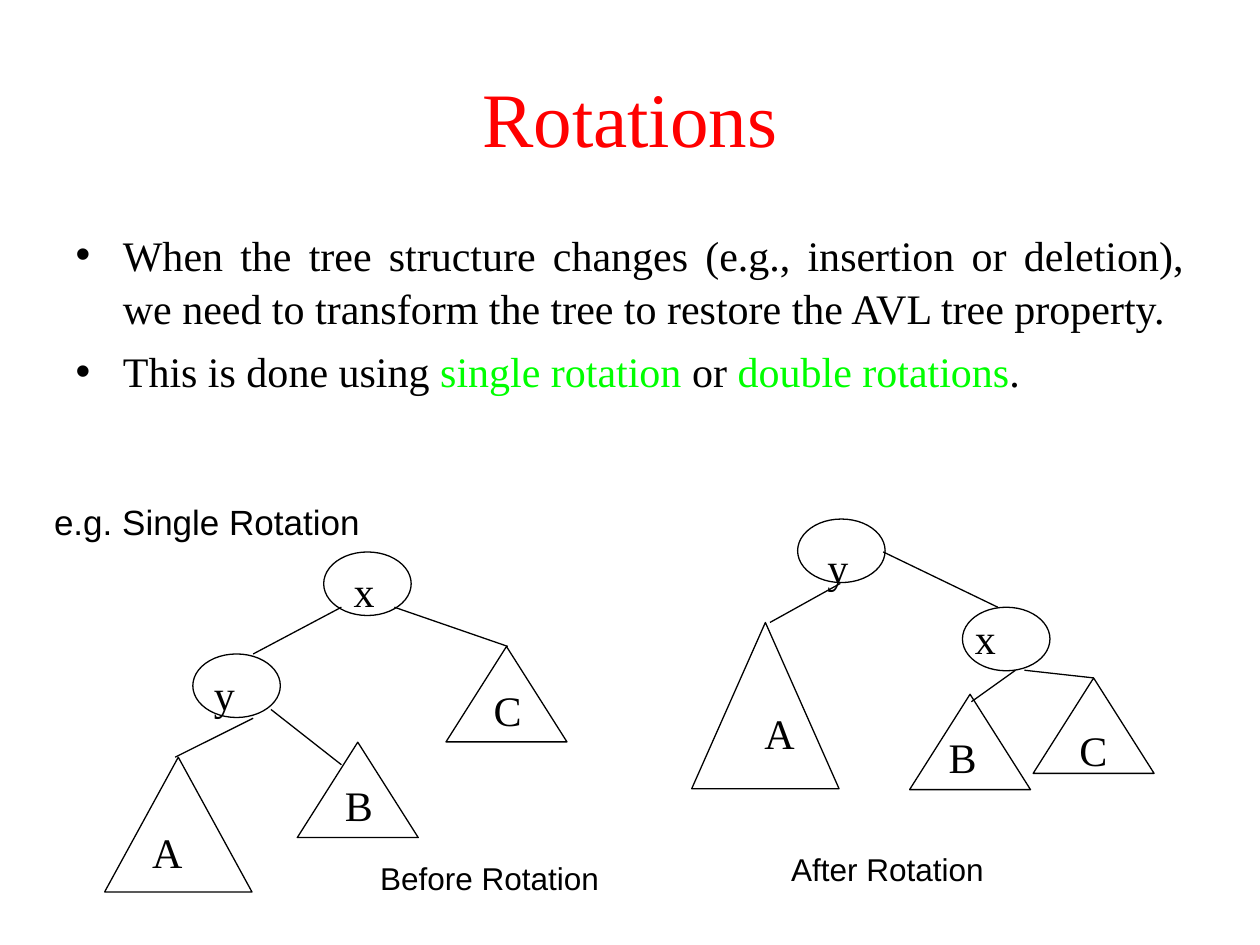
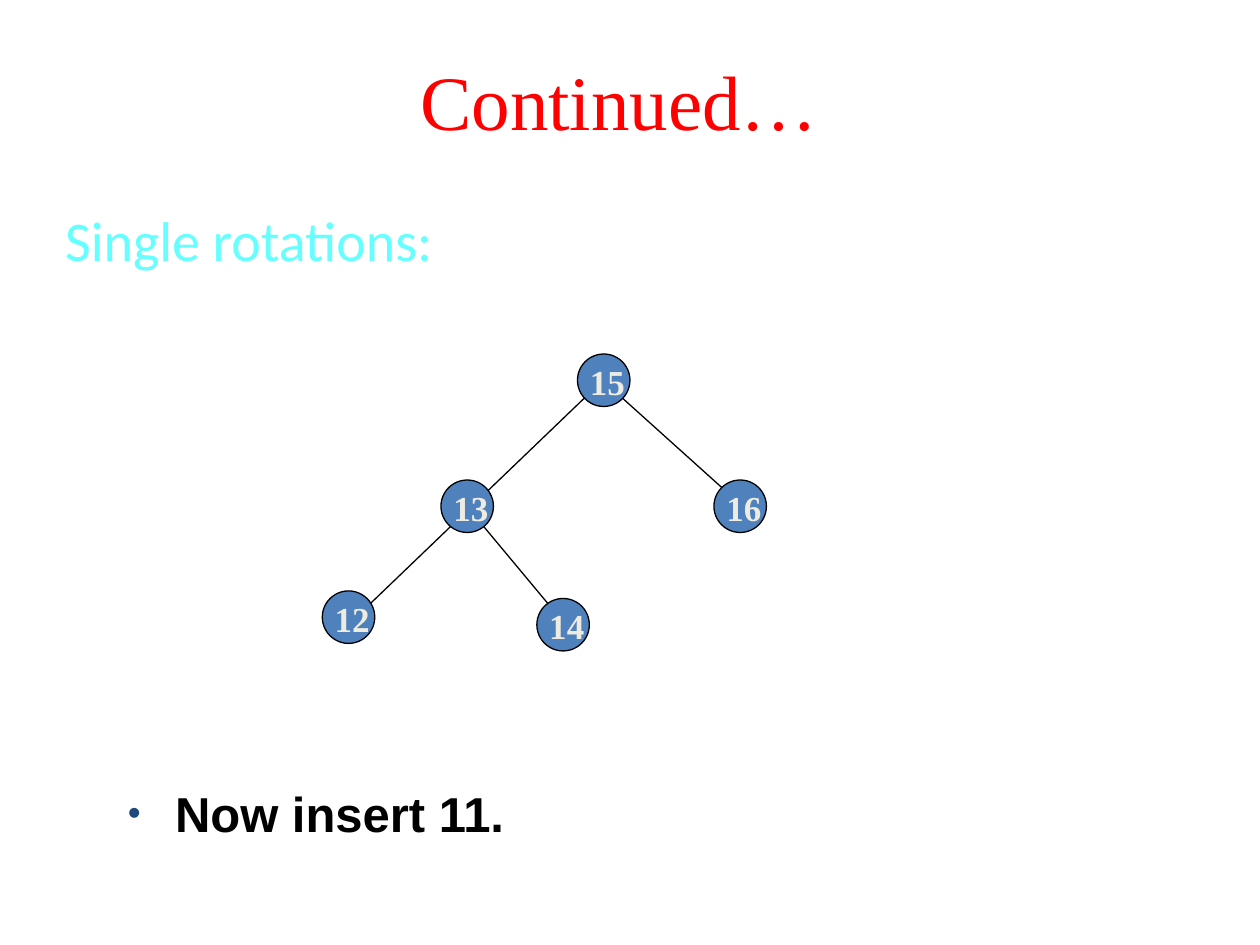
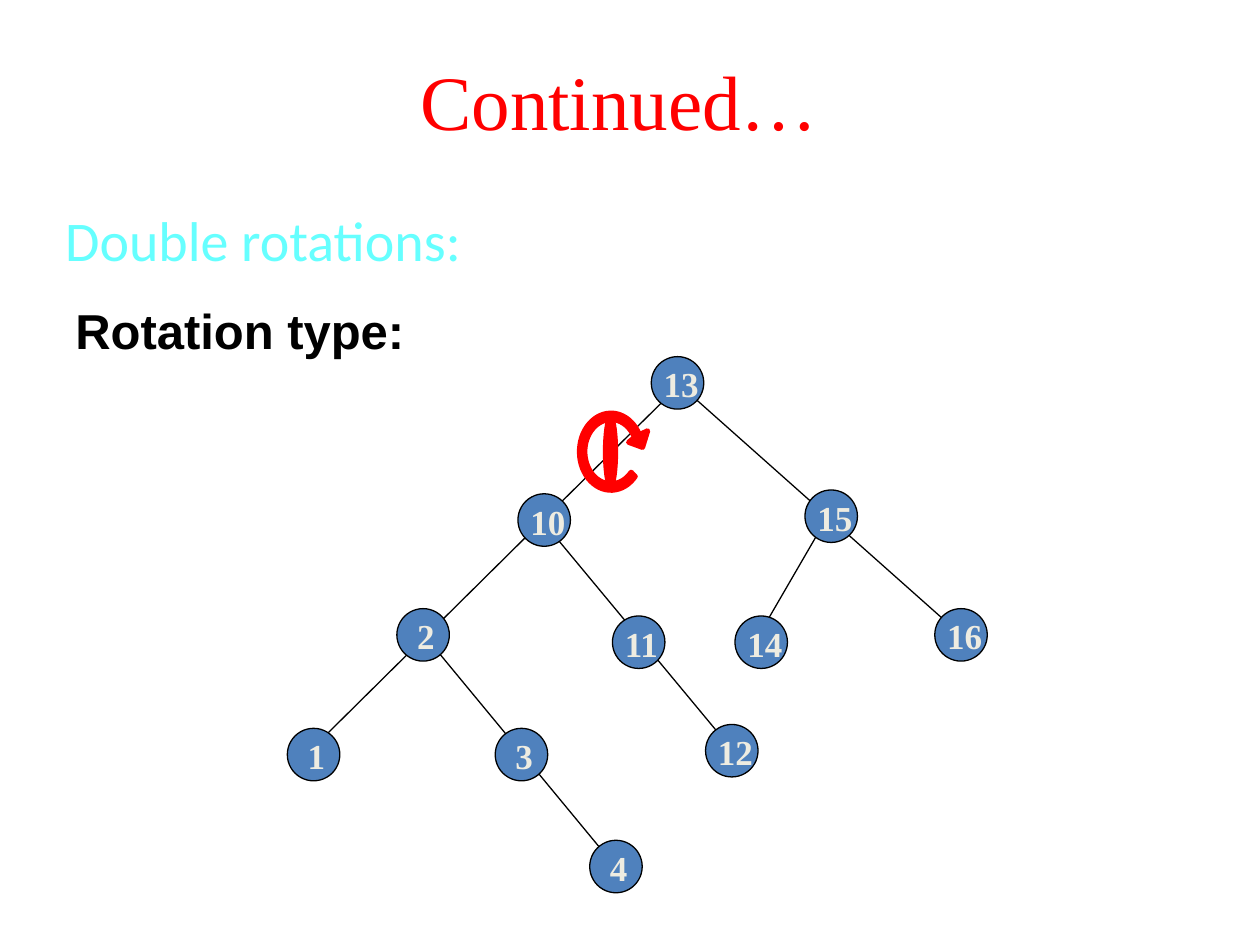
import math
from dataclasses import dataclass

from lxml import etree
from pptx import Presentation
from pptx.dml.color import RGBColor
from pptx.enum import shapes, text
from pptx.oxml import ns
from pptx.util import Pt


@dataclass(frozen=True)
class Theme:
    black: str = "000000"
    red: str = "FF0000"
    green: str = "00FF00"
    cyan: str = "66FFFF"
    blue: str = "4F81BD"
    navy: str = "1F497D"
    cream: str = "EEECE1"
    serif: str = "Times New Roman"
    sans: str = "Arial"
    heading: str = "Calibri"
    title_size: int = 44
    heading_size: int = 32
    lead_size: int = 28
    body_size: int = 24
    node_size: int = 20
    caption_size: int = 18
    hairline: float = 0.75


theme = Theme()
OVAL = shapes.MSO_SHAPE.OVAL
TRIANGLE = shapes.MSO_SHAPE.ISOSCELES_TRIANGLE


def paint(shape, fill=None, line=theme.black, width=theme.hairline):
    shape.shadow.inherit = False
    if fill:
        shape.fill.solid()
        shape.fill.fore_color.rgb = RGBColor.from_string(fill)
    else:
        shape.fill.background()
    shape.line.color.rgb = RGBColor.from_string(line)
    shape.line.width = Pt(width)


def write(box, words, size, font=theme.serif, color=theme.black, bold=False):
    """Fill the first paragraph of a box and return it."""
    box.text_frame.word_wrap = True
    box.text_frame.auto_size = text.MSO_AUTO_SIZE.NONE
    para = box.text_frame.paragraphs[0]
    para.text = words
    para.space_before = Pt(0)
    para.font.size = Pt(size)
    para.font.name = font
    para.font.bold = bold
    para.font.color.rgb = RGBColor.from_string(color)
    return para


deck = Presentation()
deck.slide_width, deck.slide_height = Pt(720), Pt(540)
pages = [deck.slides.add_slide(deck.slide_layouts[1]) for _ in range(3)]
rotations, single, double = pages

# Titles and body areas
continued_title = (48, 12, 612, 90)
page_heads = [
    ("Rotations", (36, 21.6, 648, 90), (36, 126, 648, 356.4)),
    ("Continued…", continued_title, (30, 114, 672, 48)),
    ("Continued…", continued_title, (30, 114, 276, 48)),
]
for page, (title, *areas) in zip(pages, page_heads):
    for box, area in zip(page.placeholders, areas):
        box.left, box.top, box.width, box.height = map(Pt, area)
    page.shapes.title.text_frame.vertical_anchor = text.MSO_ANCHOR.MIDDLE
    para = write(page.shapes.title, title, theme.title_size, color=theme.red)
    para.alignment = text.PP_ALIGN.CENTER

# Bullets about rotations
body = rotations.placeholders[1]
write(body, "When the tree structure changes (e.g., insertion or deletion), "
      "we need to transform the tree to restore the AVL tree property.",
      theme.body_size)
second = body.text_frame.add_paragraph()
second.space_before = Pt(6)
for words, color in [
    ("This is done using ", theme.black),
    ("single rotation", theme.green),
    (" or ", theme.black),
    ("double rotations", theme.green),
    (".", theme.black),
]:
    span = second.add_run()
    span.text = words
    span.font.color.rgb = RGBColor.from_string(color)
second.font.size = Pt(theme.body_size)
second.font.name = theme.serif
for para in body.text_frame.paragraphs:
    para.alignment = text.PP_ALIGN.JUSTIFY
    para.line_spacing = 1.05

# Unbulleted headings
for page, heading in [(single, "Single rotations:"), (double, "Double rotations:")]:
    box = page.placeholders[1]
    properties = box.text_frame.paragraphs[0]._p.get_or_add_pPr()
    properties.set("marL", "0")
    properties.set("indent", "0")
    etree.SubElement(properties, ns.qn("a:buNone"))
    write(box, heading, theme.heading_size, theme.heading, theme.cyan)

# Tree edges: start x, start y, end x, end y
page_edges = [
    [(144.7, 373.7, 195.1, 347), (100.1, 432.7, 144.7, 410.4),
     (154.8, 405.4, 195.1, 437), (225.4, 347, 290.2, 369.4),
     (504.7, 315.4, 570.2, 347), (440, 355.7, 480.2, 333.4),
     (555.1, 401, 580.3, 383), (585.4, 383, 625, 387.4)],
    [(264, 286, 324, 358), (198, 358, 348, 214), (354, 226, 414, 280)],
    [(180, 426.2, 388, 220.3), (240, 360, 354, 498),
     (306.7, 293.8, 426.2, 437.8), (473.8, 293.8, 432, 365.8),
     (384, 216, 546, 360)],
]
for page, edges in zip(pages, page_edges):
    for ends in edges:
        edge = page.shapes.add_connector(shapes.MSO_CONNECTOR.STRAIGHT, *map(Pt, ends))
        edge.line.color.rgb = RGBColor.from_string(theme.black)
        edge.line.width = Pt(theme.hairline)
        etree.SubElement(edge._element.spPr, ns.qn("a:effectLst"))

# Trees before and after the rotation: name, outline, corner, size, label corner
oval_size, small, tall_before, tall_after = (50, 36.3), (69.1, 54.5), (84.2, 77), (84.2, 95)
subtrees = [
    ("x", OVAL, (185, 315.4), oval_size, (195, 319.7)),
    ("y", OVAL, (110.2, 373.7), oval_size, (115.2, 378.7)),
    ("A", TRIANGLE, (59.8, 432.7), tall_before, (79.9, 468.7)),
    ("B", TRIANGLE, (169.9, 424.1), small, (190, 442)),
    ("C", TRIANGLE, (254.9, 369.4), small, (275, 387.4)),
    ("y", OVAL, (455.8, 296.6), oval_size, (465.8, 306)),
    ("x", OVAL, (550, 347), oval_size, (550, 346.3)),
    ("A", TRIANGLE, (395.3, 355.7), tall_after, (429.8, 401)),
    ("B", TRIANGLE, (519.8, 396.7), small, (535, 414.7)),
    ("C", TRIANGLE, (590.4, 387.4), small, (609.8, 410.4)),
]
for name, outline, corner, size, label_corner in subtrees:
    paint(rotations.shapes.add_shape(outline, *map(Pt, corner + size)))
    label = rotations.shapes.add_textbox(*map(Pt, label_corner + (50, 36)))
    write(label, name, theme.body_size)

for words, area, size in [
    ("Before Rotation", (210.2, 487.4, 150, 29), theme.caption_size),
    ("After Rotation", (445, 482.4, 150, 29), theme.caption_size),
    ("e.g. Single Rotation", (23.8, 282.2, 222, 32), theme.node_size),
]:
    write(rotations.shapes.add_textbox(*map(Pt, area)), words, size, theme.sans)

# Numbered nodes: key, left, top
node_side, digit_shift = 30, 4.5
single_nodes = [(13, 252, 274.3), (15, 330, 202.3), (16, 408, 274.3),
                (12, 184.2, 337.7), (14, 306.8, 342)]
double_nodes = [(1, 164.2, 416.2), (3, 283, 416.2), (13, 372.2, 203.8),
                (15, 460, 280), (16, 534.2, 347.8), (10, 296, 282.2),
                (14, 420, 352), (2, 226.8, 347.8), (11, 350, 352),
                (12, 403.2, 414), (4, 337, 480.2)]
for page, nodes in [(single, single_nodes), (double, double_nodes)]:
    for key, left, top in nodes:
        node = page.shapes.add_shape(OVAL, Pt(left), Pt(top), Pt(node_side), Pt(node_side))
        paint(node, theme.blue)
        shift = digit_shift if key < 10 else 0
        label = page.shapes.add_textbox(Pt(left + shift), Pt(top), Pt(36), Pt(31.5))
        write(label, str(key), theme.node_size, color=theme.cream, bold=True)

# Lead lines
lead = single.shapes.add_textbox(Pt(66), Pt(444), Pt(396), Pt(48))
properties = lead.text_frame.paragraphs[0]._p.get_or_add_pPr()
properties.set("marL", str(Pt(27)))
properties.set("indent", str(Pt(-27)))
bullet_color = etree.SubElement(properties, ns.qn("a:buClr"))
etree.SubElement(bullet_color, ns.qn("a:srgbClr"), val=theme.navy)
etree.SubElement(properties, ns.qn("a:buSzPct"), val="75000")
etree.SubElement(properties, ns.qn("a:buFont"), typeface=theme.sans)
etree.SubElement(properties, ns.qn("a:buChar"), char="•")
write(lead, "Now insert 11.", theme.lead_size, theme.sans, bold=True)

lead = double.shapes.add_textbox(Pt(36), Pt(168), Pt(330), Pt(48))
write(lead, "Rotation type:", theme.lead_size, theme.sans, bold=True)

# Circular arrow around the rotated edge
center_x, center_y = 349.2, 258.1
arc = range(-26, -321, -6)
arrow_points = [
    (center_x + radius_x * math.cos(math.radians(angle)),
     center_y + radius_y * math.sin(math.radians(angle)))
    for radius_x, radius_y, angles in [(15, 18.4, arc), (18, 22, reversed(arc))]
    for angle in angles
]
arrow_points += [(370.1, 246.2), (367.2, 255.6), (359.3, 252.7)]
start, *rest = [(Pt(x), Pt(y)) for x, y in arrow_points]
builder = double.shapes.build_freeform(*start)
builder.add_line_segments(rest, close=True)
paint(builder.convert_to_shape(), theme.red, theme.red, 3)
axis = double.shapes.add_shape(OVAL, Pt(344.9), Pt(236.2), Pt(8), Pt(44))
paint(axis, theme.red, theme.red)

deck.save("out.pptx")
